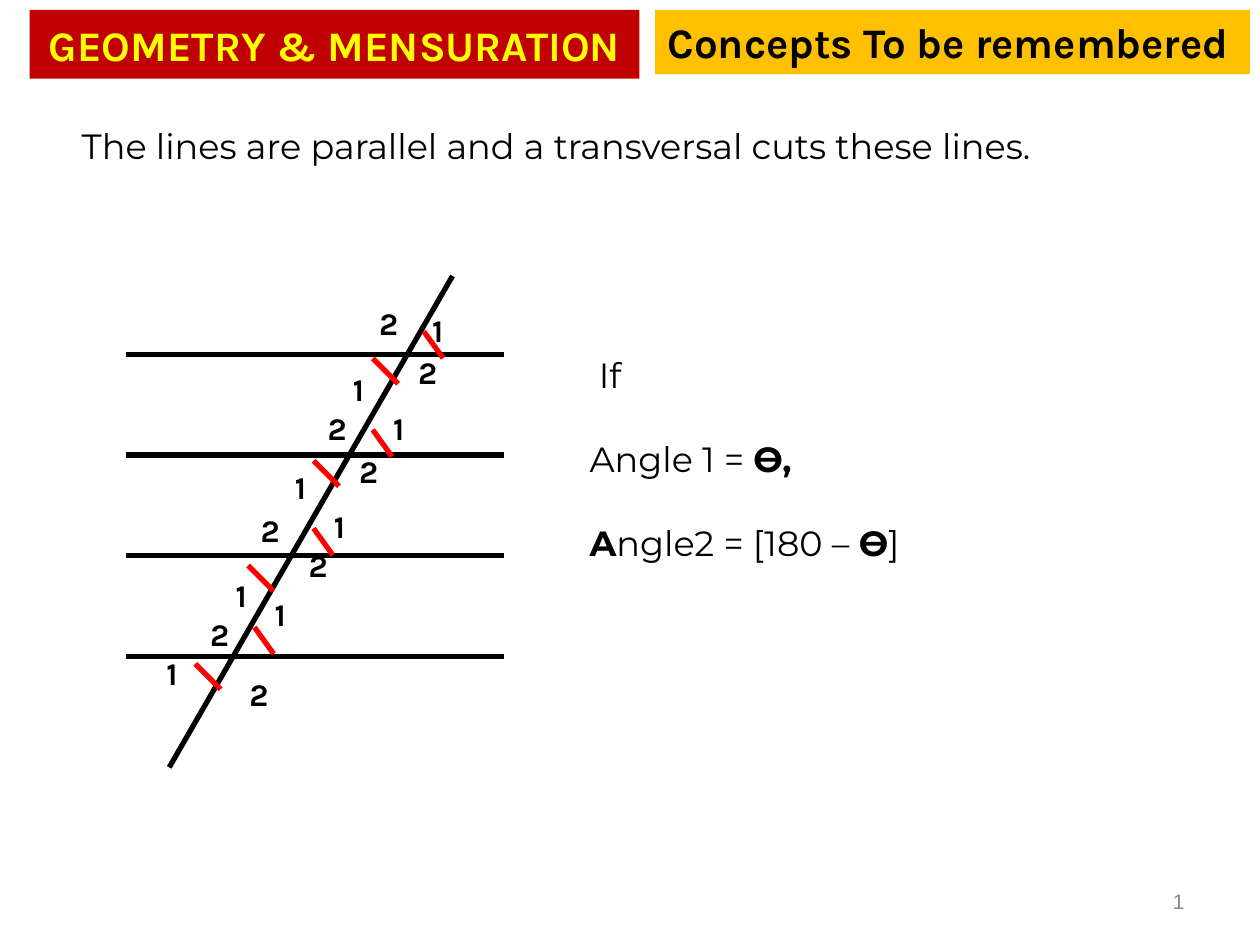
from lxml import etree
from pptx import Presentation
from pptx.dml.color import RGBColor
from pptx.enum import shapes, text
from pptx.oxml import ns
from pptx.util import Pt

CENTER = text.PP_ALIGN.CENTER
MIDDLE = text.MSO_ANCHOR.MIDDLE


def style(p, font, size, color, bold=False, align=text.PP_ALIGN.LEFT):
    p.alignment = align
    p.font.name, p.font.size, p.font.bold = font, Pt(size), bold
    p.font.color.rgb = RGBColor.from_string(color)


def add_line(x1, y1, x2, y2, color):
    line = s.shapes.add_connector(
        shapes.MSO_CONNECTOR.STRAIGHT, Pt(x1), Pt(y1), Pt(x2), Pt(y2))
    line.line.color.rgb = RGBColor.from_string(color)
    line.line.width = Pt(3)
    etree.SubElement(line._element.spPr, ns.qn("a:effectLst"))


prs = Presentation()
prs.slide_width, prs.slide_height = Pt(720), Pt(540)
s = prs.slides.add_slide(prs.slide_layouts[5])

# Headings
title = s.shapes.title
title.left, title.top, title.width, title.height = Pt(16.9), Pt(5.7), Pt(348.5), Pt(39.3)
title.fill.solid()
title.fill.fore_color.rgb = RGBColor.from_string("C00000")
tf = title.text_frame
tf.text = "GEOMETRY & MENSURATION"
tf.auto_size = text.MSO_AUTO_SIZE.NONE
tf.vertical_anchor = MIDDLE
style(tf.paragraphs[0], "Karla", 24, "FFFF00", True, CENTER)

banner = s.shapes.add_shape(
    shapes.MSO_SHAPE.RECTANGLE, Pt(374.4), Pt(5.7), Pt(339.8), Pt(36.7))
banner.shadow.inherit = False
banner.fill.solid()
banner.fill.fore_color.rgb = RGBColor.from_string("FFC000")
banner.line.fill.background()
tf = banner.text_frame
tf.text = "Concepts To be remembered"
tf.vertical_anchor = text.MSO_ANCHOR.TOP
style(tf.paragraphs[0], "Karla", 24, "000000", True)

tf = s.shapes.add_textbox(Pt(39.6), Pt(67.7), Pt(658), Pt(86.4)).text_frame
tf.word_wrap = True
tf.text = "The lines are parallel and a transversal cuts these lines."
style(tf.paragraphs[0], "Montserrat", 20, "000000")

# Parallel lines and the transversal
for i in range(4):
    y = 202.4 + 57.6 * i
    add_line(72, y, 288, y, "000000")
add_line(258.6, 157.7, 96.7, 438.5, "000000")

# Angle marks: above each line, then below it
for x, y in [(242.2, 189.4), (213, 245.6), (179.2, 301.9), (145.4, 358.4)]:
    add_line(x, y, x + 11, y + 15.3, "FF0000")
for x, y in [(213, 204.8), (179.2, 263.3), (141.8, 323.1), (111.6, 379.4)]:
    add_line(x, y, x + 14.5, y + 14.5, "FF0000")

# Angle labels, by centre, from the top line down
LABELS = {
    "1": [(250.2, 188.3), (204.8, 222.1), (227.9, 244.4), (171.7, 278.3),
          (194, 300.6), (137.9, 340.2), (160.2, 351), (98.3, 384.8)],
    "2": [(222.1, 184.7), (244.4, 212.8), (192.6, 244.4), (210.6, 268.9),
          (154.4, 302.8), (181.8, 322.9), (125.6, 362.5), (148, 396.4)],
}
SIDE = 28
for digit, centres in LABELS.items():
    for x, y in centres:
        tf = s.shapes.add_textbox(
            Pt(x - SIDE / 2), Pt(y - SIDE / 2), Pt(SIDE), Pt(SIDE)).text_frame
        tf.word_wrap = True
        tf.vertical_anchor = MIDDLE
        tf.text = digit
        style(tf.paragraphs[0], "Karla", 18, "000000", True, CENTER)

# Angle values, as (text, bold) runs
STATEMENTS = [
    [("If", False)],
    [("Angle 1 = ", False), ("Ѳ,", True)],
    [("A", True), ("ngle2 = [180 – ", False), ("Ѳ", True), ("]", False)],
]
tf = s.shapes.add_textbox(Pt(329.8), Pt(174.2), Pt(237.6), Pt(158.4)).text_frame
tf.word_wrap = True
for i, runs in enumerate(STATEMENTS):
    p = tf.paragraphs[0] if i == 0 else tf.add_paragraph()
    p.line_spacing = 2.0
    style(p, "Montserrat", 20, "000000")
    for words, bold in runs:
        r = p.add_run()
        r.text, r.font.bold = words, bold
tf.paragraphs[0]._p.get_or_add_pPr().set("marL", str(Pt(5.3)))

# Slide number
tf = s.shapes.add_textbox(Pt(516.2), Pt(500.4), Pt(167.8), Pt(28.8)).text_frame
tf.word_wrap = True
tf.vertical_anchor = MIDDLE
p = tf.paragraphs[0]
style(p, "Arial", 12, "898989", align=text.PP_ALIGN.RIGHT)
field = etree.SubElement(p._p, ns.qn("a:fld"), type="slidenum",
                         id="{B6F15528-21DE-4FAA-801E-634DDDAF4B2B}")
etree.SubElement(field, ns.qn("a:rPr"), lang="en-US")
etree.SubElement(field, ns.qn("a:t")).text = "1"

prs.save("out.pptx")
